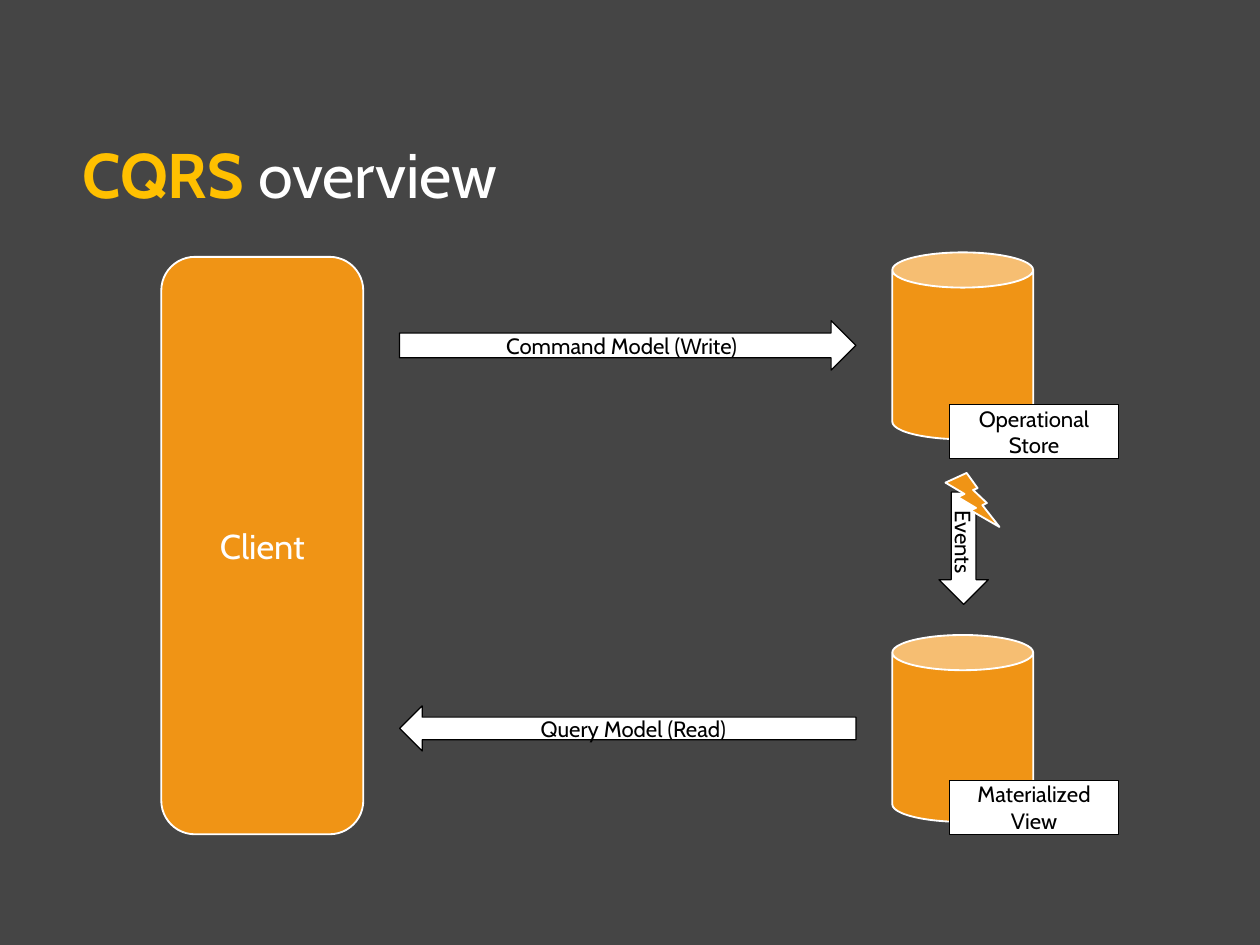
from pptx import Presentation
from pptx.dml.color import RGBColor
from pptx.enum.shapes import MSO_SHAPE
from pptx.enum.text import MSO_ANCHOR, PP_ALIGN
from pptx.util import Inches, Pt

COLORS = {
    "back": "454545",
    "orange": "F09415",
    "gold": "FFC000",
    "white": "FFFFFF",
    "black": "000000",
}


def color(name):
    return RGBColor.from_string(COLORS[name])


class Board:
    """Holds the text style and the current slide."""

    font = "Cabin"

    def __init__(self, slide):
        self.slide = slide
        fill = slide.background.fill
        fill.solid()
        fill.fore_color.rgb = color("back")

    def add_runs(self, frame, runs, size, align):
        """Add runs, each given as (text, color, bold), in one paragraph."""
        frame.word_wrap = True
        frame.vertical_anchor = MSO_ANCHOR.MIDDLE
        para = frame.paragraphs[0]
        para.alignment = align
        for text, ink, bold in runs:
            run = para.add_run()
            run.text = text
            run.font.name = self.font
            run.font.size = Pt(size)
            run.font.bold = bold
            run.font.color.rgb = color(ink)
        return para

    def title(self, box, runs):
        frame = self.slide.shapes.add_textbox(*map(Inches, box)).text_frame
        self.add_runs(frame, runs, 51.2, PP_ALIGN.LEFT).line_spacing = 0.9

    def shape(self, kind, box, fill, line, width):
        item = self.slide.shapes.add_shape(kind, *map(Inches, box))
        item.shadow.inherit = False
        item.fill.solid()
        item.fill.fore_color.rgb = color(fill)
        item.line.color.rgb = color(line)
        item.line.width = Pt(width)
        return item

    def block(self, kind, box, text=None):
        """Orange shape with a white outline."""
        item = self.shape(kind, box, "orange", "white", 1.5)
        if text:
            self.add_runs(item.text_frame, [(text, "white", False)], 28, PP_ALIGN.CENTER)

    def label(self, kind, box, text, turn=0):
        """White shape with a black outline and black text."""
        item = self.shape(kind, box, "white", "black", 1)
        item.rotation = turn
        frame = item.text_frame
        frame.margin_top = frame.margin_bottom = 0
        self.add_runs(frame, [(text, "black", False)], 18, PP_ALIGN.CENTER)


def main():
    deck = Presentation()
    deck.slide_width = Inches(14.22)
    deck.slide_height = Inches(10.67)
    board = Board(deck.slides.add_slide(deck.slide_layouts[6]))

    board.title((0.83, 1.17, 10.73, 1.68),
                [("CQRS", "gold", True), (" overview", "white", False)])
    board.block(MSO_SHAPE.ROUNDED_RECTANGLE, (1.82, 2.9, 2.28, 6.52), "Client")

    board.label(MSO_SHAPE.RIGHT_ARROW, (4.51, 3.62, 5.15, 0.56), "Command Model (Write)")
    board.label(MSO_SHAPE.LEFT_ARROW, (4.51, 7.97, 5.15, 0.51), "Query Model (Read)")
    board.label(MSO_SHAPE.RIGHT_ARROW, (10.24, 5.91, 1.27, 0.56), "Events", 90)

    stores = [("Operational Store", 2.85, 4.57), ("Materialized View", 7.17, 8.81)]
    for name, top, tag in stores:
        board.block(MSO_SHAPE.CAN, (10.07, top, 1.59, 2.11))
        board.label(MSO_SHAPE.RECTANGLE, (10.72, tag, 1.9, 0.61), name)

    board.block(MSO_SHAPE.LIGHTNING_BOLT, (10.67, 5.34, 0.61, 0.61))
    deck.save("out.pptx")


if __name__ == "__main__":
    main()
